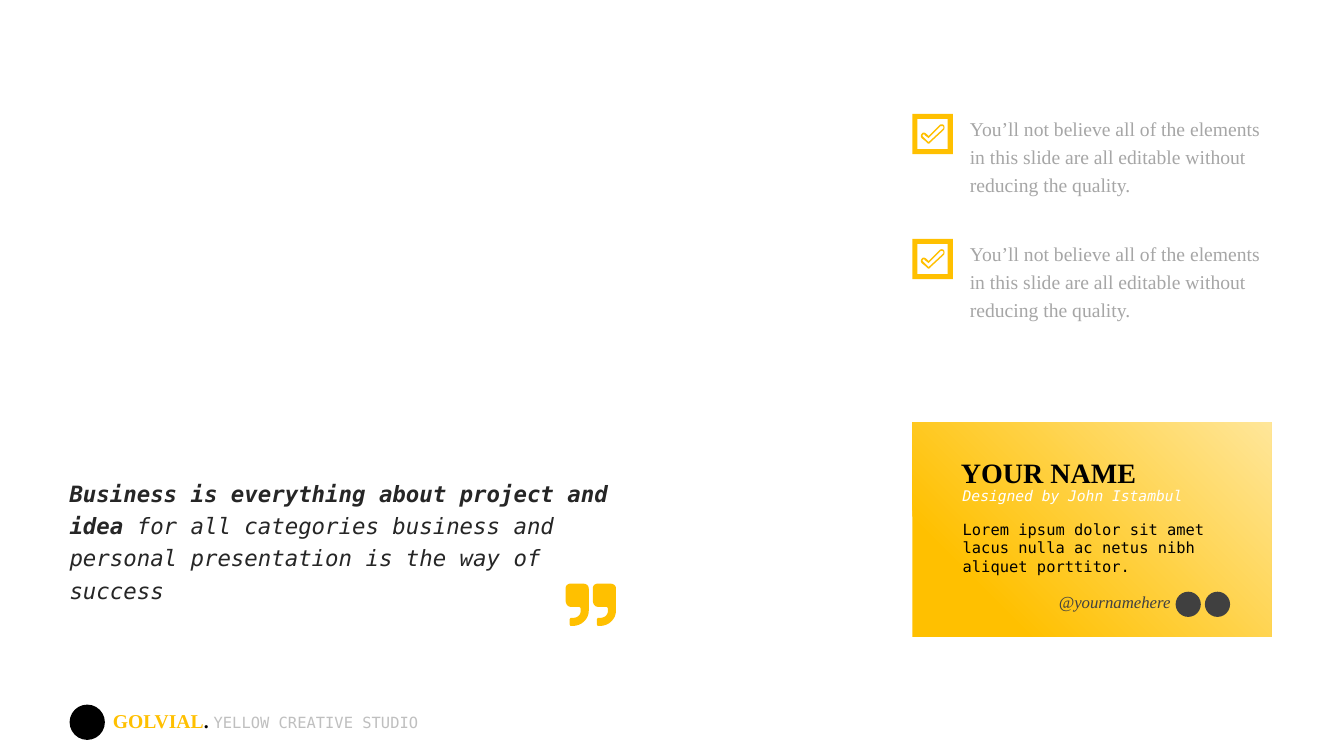
import pptx
import pptx.dml.color
import pptx.enum.shapes
import pptx.enum.text
import pptx.util

RGBColor = pptx.dml.color.RGBColor
SHAPE = pptx.enum.shapes.MSO_SHAPE
ALIGN = pptx.enum.text.PP_ALIGN
ANCHOR = pptx.enum.text.MSO_ANCHOR
FIT = pptx.enum.text.MSO_AUTO_SIZE

GOLD = RGBColor(0xFF, 0xC0, 0x00)
CREAM = RGBColor(0xFF, 0xE6, 0x99)
BLACK = RGBColor(0x00, 0x00, 0x00)
WHITE = RGBColor(0xFF, 0xFF, 0xFF)
INK = RGBColor(0x26, 0x26, 0x26)
DARK = RGBColor(0x40, 0x40, 0x40)
GREY = RGBColor(0xA6, 0xA6, 0xA6)
PALE = RGBColor(0xBF, 0xBF, 0xBF)
MONO = "DejaVu Sans Mono"
SERIF = "Times New Roman"
SCALE = 9144
STEPS = 8

COMMA = [
    (23, 27), (23, 35, 16, 42, 7, 42), (5, 42), (5, 42, 4, 41, 4, 40),
    (4, 36), (4, 35, 5, 34, 5, 34), (7, 34), (12, 34, 15, 31, 15, 27),
    (15, 25), (15, 24, 14, 23, 13, 23), (5, 23), (2, 23, 0, 20, 0, 16),
    (0, 5), (0, 2, 2, 0, 5, 0), (17, 0), (21, 0, 23, 2, 23, 5),
]
TICK = [
    (23, 1), (22, 0, 20, 0, 19, 1), (8, 12), (6, 10), (4, 8, 2, 8, 1, 10),
    (0, 11, 0, 12, 1, 14), (6, 18), (7, 20, 9, 20, 10, 18), (23, 6),
    (24, 5, 24, 2, 23, 1),
]
HOLE = [
    (22, 5), (9, 17), (8, 18, 8, 18, 7, 17), (2, 12), (2, 12, 2, 11, 2, 11),
    (3, 10, 4, 10, 4, 11), (8, 14), (20, 2), (21, 2, 21, 2, 22, 2),
    (23, 3, 23, 4, 22, 5),
]


def px(*nums):
    """Turn px lengths into EMU."""
    return [pptx.util.Emu(round(n * SCALE)) for n in nums]


def say(para, text, font=MONO, size=11, color=BLACK, bold=False, slant=False):
    """Add a run of formatted text to a paragraph."""
    run = para.add_run()
    run.text = text
    run.font.name = font
    run.font.size = pptx.util.Pt(size)
    run.font.color.rgb = color
    run.font.bold = bold
    run.font.italic = slant


def setup(shape, space=None, align=ALIGN.LEFT, anchor=ANCHOR.TOP, inset=None):
    """Set up the text frame of a shape and return its first paragraph."""
    frame = shape.text_frame
    frame.word_wrap = True
    frame.auto_size = FIT.SHAPE_TO_FIT_TEXT
    frame.vertical_anchor = anchor
    if inset is not None:
        frame.margin_left = frame.margin_right = inset
        frame.margin_top = frame.margin_bottom = inset
    para = frame.paragraphs[0]
    para.alignment = align
    if space:
        para.line_spacing = space
    return para


def label(slide, box, **kind):
    """Add a text box and return its first paragraph."""
    return setup(slide.shapes.add_textbox(*px(*box)), **kind)


def shape(slide, kind, box, color):
    """Add a flat preset shape without outline."""
    item = slide.shapes.add_shape(kind, *px(*box))
    item.shadow.inherit = False
    item.line.fill.background()
    item.fill.solid()
    item.fill.fore_color.rgb = color
    return item


def trace(path, left, top):
    """Turn lines and cubic curves into points in EMU."""
    dots = [path[0]]
    for part in path[1:]:
        if len(part) == 2:
            dots.append(part)
            continue
        ends = [dots[-1], part[:2], part[2:4], part[4:]]
        for step in range(1, STEPS + 1):
            t = step / STEPS
            u = 1 - t
            mix = (u ** 3, 3 * u * u * t, 3 * u * t * t, t ** 3)
            dots.append(tuple(
                sum(m * e[axis] for m, e in zip(mix, ends)) for axis in (0, 1)
            ))
    return [px(left + x, top + y) for x, y in dots]


def glyph(slide, rings, color):
    """Draw closed rings as one filled outline."""
    build = slide.shapes.build_freeform(*rings[0][0], scale=1.0)
    for place, ring in enumerate(rings):
        if place:
            build.move_to(*ring[0])
        build.add_line_segments(ring[1:], close=True)
    item = build.convert_to_shape()
    item.shadow.inherit = False
    item.fill.solid()
    item.fill.fore_color.rgb = color
    item.line.fill.background()


def quote(slide, left, top, width, height):
    """Place the quotation and its closing mark."""
    title = slide.shapes.title
    title.left, title.top, title.width, title.height = px(left, top, width, height)
    para = setup(title, space=1.2)
    look = dict(size=16, color=INK, slant=True)
    say(para, "Business is everything about project and idea ", bold=True, **look)
    say(para, "for all categories business and personal presentation "
        "is the way of success", **look)
    marks = [trace(COMMA, left + 502 + step, top + 113) for step in (0, 27)]
    glyph(slide, marks, GOLD)


def point(slide, left, top, width, height):
    """Place a ticked frame beside its text."""
    shape(slide, SHAPE.FRAME, (left, top + 7, 40, 40), GOLD)
    glyph(slide, [trace(p, left + 8, top + 17) for p in (TICK, HOLE)], GOLD)
    para = label(slide, (left + 47, top, width - 47, height), space=1.2)
    say(para, "You’ll not believe all of the elements in this slide are all "
        "editable without reducing the quality.",
        font=SERIF, size=14, color=GREY)


def card(slide, left, top, width, height):
    """Place the business card."""
    back = shape(slide, SHAPE.RECTANGLE, (left, top, width, height), GOLD)
    back.fill.gradient()
    back.fill.gradient_angle = 45
    for stop, (spot, color) in zip(back.fill.gradient_stops,
                                   ((0.2, GOLD), (1, CREAM))):
        stop.position = spot
        stop.color.rgb = color
    para = label(slide, (left + 40, top + 92, 270, 66))
    say(para, "Lorem ipsum dolor sit amet lacus nulla ac netus nibh "
        "aliquet porttitor.")
    para = label(slide, (left + 48, top + 33, 255, 34),
                 anchor=ANCHOR.MIDDLE, inset=0)
    say(para, "YOUR NAME", font=SERIF, size=20, bold=True)
    para = label(slide, (left + 40, top + 50, 270, 37), space=1.5)
    say(para, "Designed by John Istambul", size=10.5, color=WHITE, slant=True)
    for step in (0, 29):
        shape(slide, SHAPE.OVAL, (left + 261 + step, top + 168, 25, 25), DARK)
    para = label(slide, (left + 112, top + 163, 154, 30), align=ALIGN.RIGHT)
    say(para, "@yournamehere", font=SERIF, size=12, color=DARK, slant=True)


def foot(slide, left, top, width, height):
    """Place the studio line with its round badge."""
    shape(slide, SHAPE.OVAL, (left, top + 1, 35, 35), BLACK)
    para = label(slide, (left + 33, top, width - 33, height))
    say(para, "GOLVIAL", font=SERIF, size=14, color=GOLD, bold=True)
    say(para, ". ", font=SERIF, size=14, bold=True)
    say(para, "YELLOW CREATIVE STUDIO", color=PALE)


def main():
    """Build the slide and save it."""
    deck = pptx.Presentation()
    deck.slide_width, deck.slide_height = px(1333, 750)
    slide = deck.slides.add_slide(deck.slide_layouts[5])
    quote(slide, 59, 466, 557, 139)
    for row in range(2):
        point(slide, 905, 106 + 124 * row, 356, 95)
    card(slide, 905, 419, 356, 213)
    foot(slide, 69, 698, 391, 34)
    deck.save("out.pptx")


if __name__ == "__main__":
    main()
